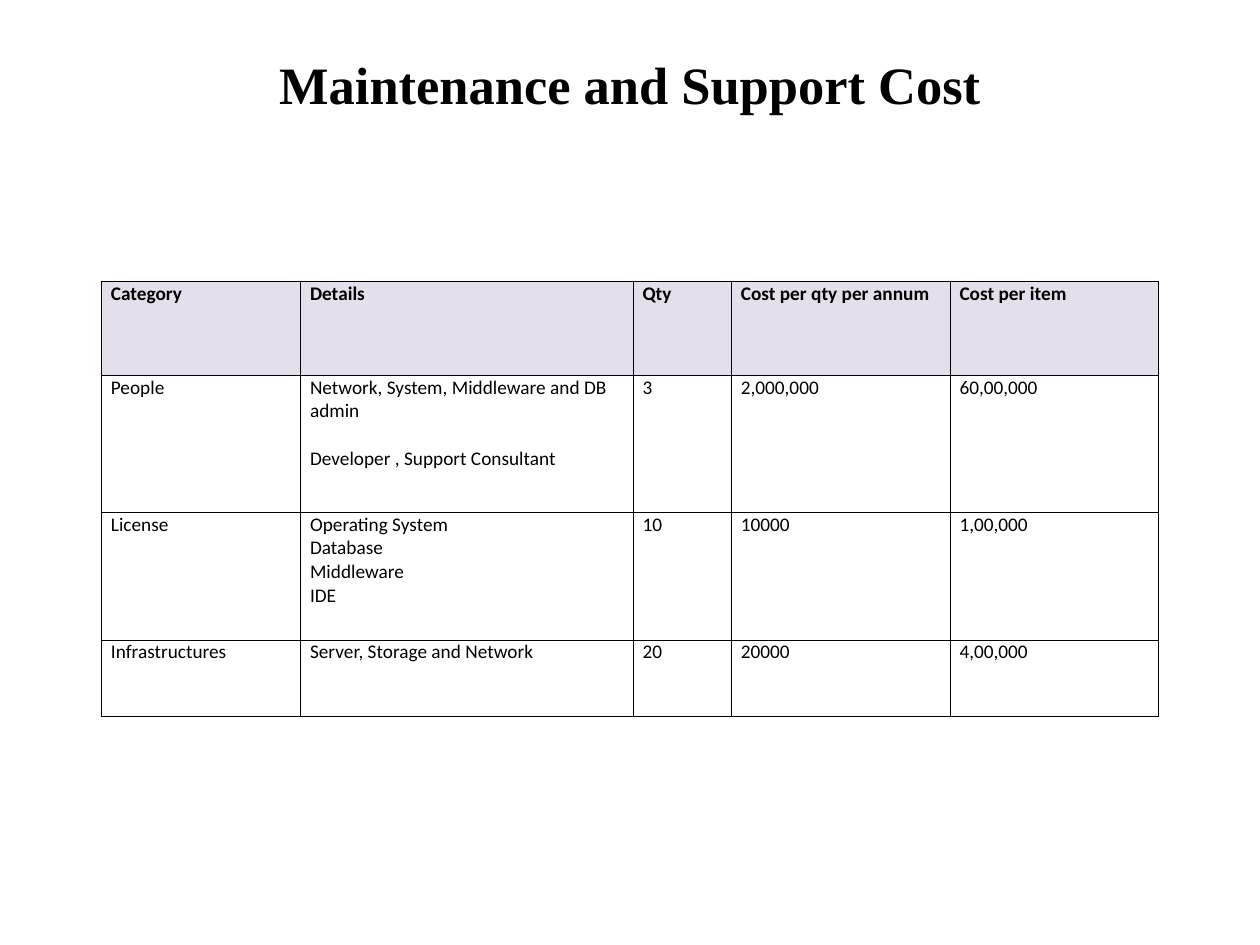
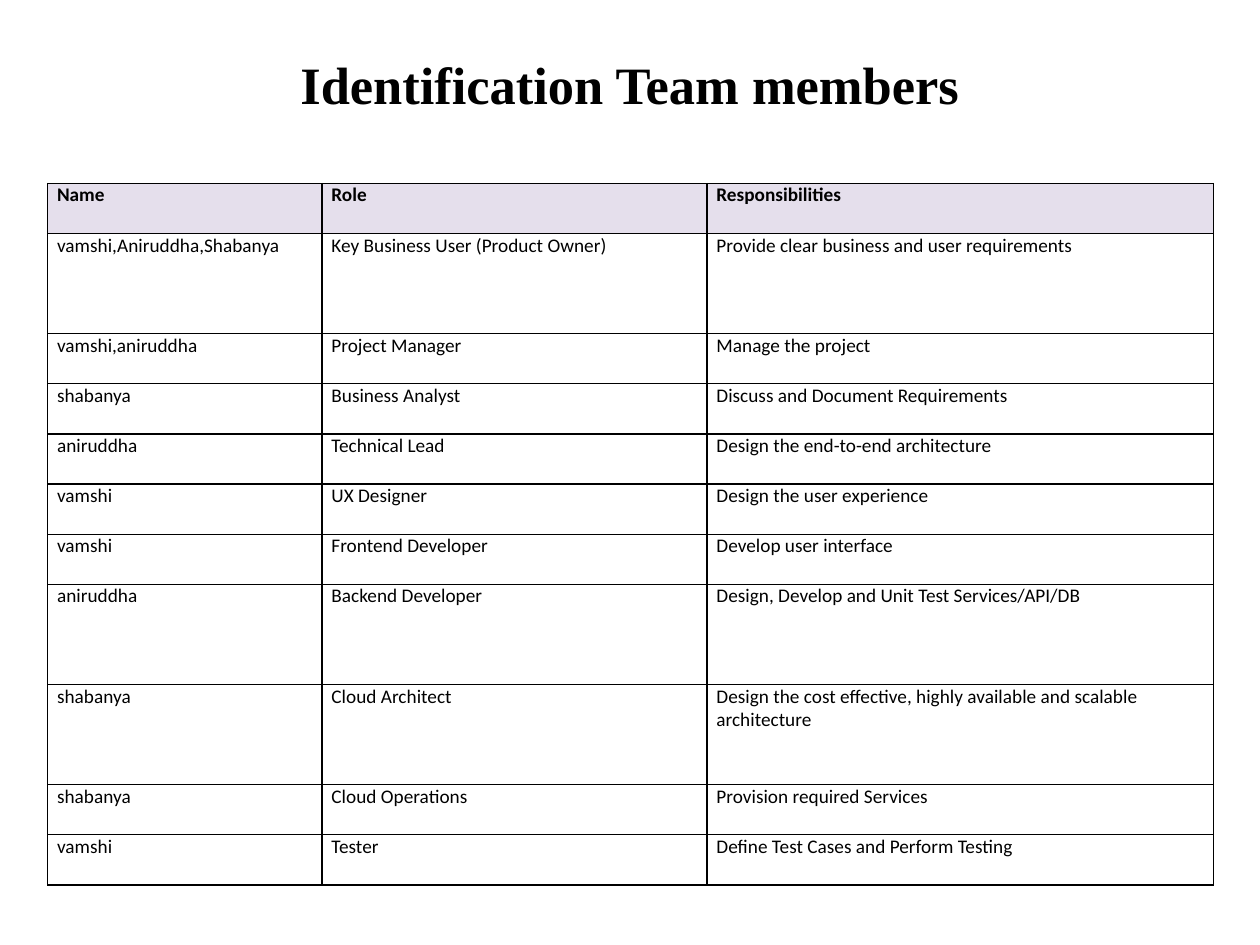
import pptx
import pptx.util
import pptx.dml.color
import pptx.enum.text
import lxml.etree
import pptx.oxml.ns

Pt = pptx.util.Pt
RGB = pptx.dml.color.RGBColor
BLACK = RGB(0x00, 0x00, 0x00)
LILAC = RGB(0xE5, 0xDF, 0xEC)
WIDTH, HEIGHT = 720, 540
ROW = 28.65
GAP = 13.4

COSTS = [
    ("Category", "Details", "Qty", "Cost per qty per annum", "Cost per item"),
    ("People",
     ["Network, System, Middleware and DB admin", "Developer , Support Consultant"],
     "3", "2,000,000", "60,00,000"),
    ("License", ["Operating System", "Database", "Middleware", "IDE"],
     "10", "10000", "1,00,000"),
    ("Infrastructures", "Server, Storage and Network", "20", "20000", "4,00,000"),
]

TEAM = [
    ("Name", "Role", "Responsibilities"),
    ("vamshi,Aniruddha,Shabanya", "Key Business User (Product Owner)",
     "Provide clear business and user requirements"),
    ("vamshi,aniruddha", "Project Manager", "Manage the project"),
    ("shabanya", "Business Analyst", "Discuss and Document Requirements"),
    ("aniruddha", "Technical Lead", "Design the end-to-end architecture"),
    ("vamshi", "UX Designer", "Design the user experience"),
    ("vamshi", "Frontend Developer", "Develop user interface"),
    ("aniruddha", "Backend Developer",
     "Design, Develop and Unit Test Services/API/DB"),
    ("shabanya", "Cloud Architect",
     "Design the cost effective, highly available and scalable architecture"),
    ("shabanya", "Cloud Operations", "Provision required Services"),
    ("vamshi", "Tester", "Define Test Cases and Perform Testing"),
]
TALL = {"Key Business User (Product Owner)", "Backend Developer", "Cloud Architect"}

SLIDES = [
    {"title": "Maintenance and Support Cost", "rows": COSTS, "at": (58, 161),
     "widths": [113.8, 190, 56.2, 125, 119], "heights": [53.7, 78.3, 73, 43.5],
     "gaps": {"Developer , Support Consultant": GAP}},
    {"title": "Identification Team members", "rows": TEAM, "at": (27.2, 104.8),
     "widths": [156.8, 220, 289.4],
     "heights": [ROW * (2 if row[1] in TALL else 1) for row in TEAM],
     "gaps": {}},
]


def add_run(para, text, size, face, bold):
    run = para.add_run()
    run.text = text
    run.font.size = Pt(size)
    run.font.name = face
    run.font.bold = bold
    run.font.color.rgb = BLACK


def add_title(slide, text):
    title = slide.shapes.title
    title.left, title.top, title.width, title.height = Pt(0), Pt(30), Pt(WIDTH), Pt(36)
    title.text_frame.vertical_anchor = pptx.enum.text.MSO_ANCHOR.MIDDLE
    para = title.text_frame.paragraphs[0]
    para.alignment = pptx.enum.text.PP_ALIGN.CENTER
    add_run(para, text, 30, "Times New Roman", True)


def add_border(cell):
    qn = pptx.oxml.ns.qn
    props = cell._tc.get_or_add_tcPr()
    for side in ("lnL", "lnR", "lnT", "lnB"):
        line = lxml.etree.SubElement(props, qn("a:" + side), w=str(Pt(0.75)))
        fill = lxml.etree.SubElement(line, qn("a:solidFill"))
        lxml.etree.SubElement(fill, qn("a:srgbClr"), val=str(BLACK))


def fill_cell(cell, lines, head, gaps):
    cell.margin_left = cell.margin_right = Pt(5.4)
    cell.margin_top = cell.margin_bottom = Pt(0)
    add_border(cell)
    if head:
        cell.fill.solid()
        cell.fill.fore_color.rgb = LILAC
    else:
        cell.fill.background()
    frame = cell.text_frame
    for i, line in enumerate(lines):
        para = frame.add_paragraph() if i else frame.paragraphs[0]
        if line in gaps:
            para.space_before = Pt(gaps[line])
        add_run(para, line, 11, "Calibri", head)


def add_grid(slide, rows, at, widths, heights, gaps):
    left, top = at
    grid = slide.shapes.add_table(len(rows), len(widths), Pt(left), Pt(top),
                                  Pt(sum(widths)), Pt(sum(heights))).table
    grid.first_row = grid.horz_banding = False
    for column, width in zip(grid.columns, widths):
        column.width = Pt(width)
    for r, (row, height) in enumerate(zip(rows, heights)):
        grid.rows[r].height = Pt(height)
        for c, entry in enumerate(row):
            lines = [entry] if isinstance(entry, str) else entry
            fill_cell(grid.cell(r, c), lines, r == 0, gaps)


def main():
    deck = pptx.Presentation()
    deck.slide_width, deck.slide_height = Pt(WIDTH), Pt(HEIGHT)
    for page in SLIDES:
        slide = deck.slides.add_slide(deck.slide_layouts.get_by_name("Title Only"))
        add_title(slide, page["title"])
        add_grid(slide, page["rows"], page["at"], page["widths"],
                 page["heights"], page["gaps"])
    deck.save("out.pptx")


if __name__ == "__main__":
    main()
